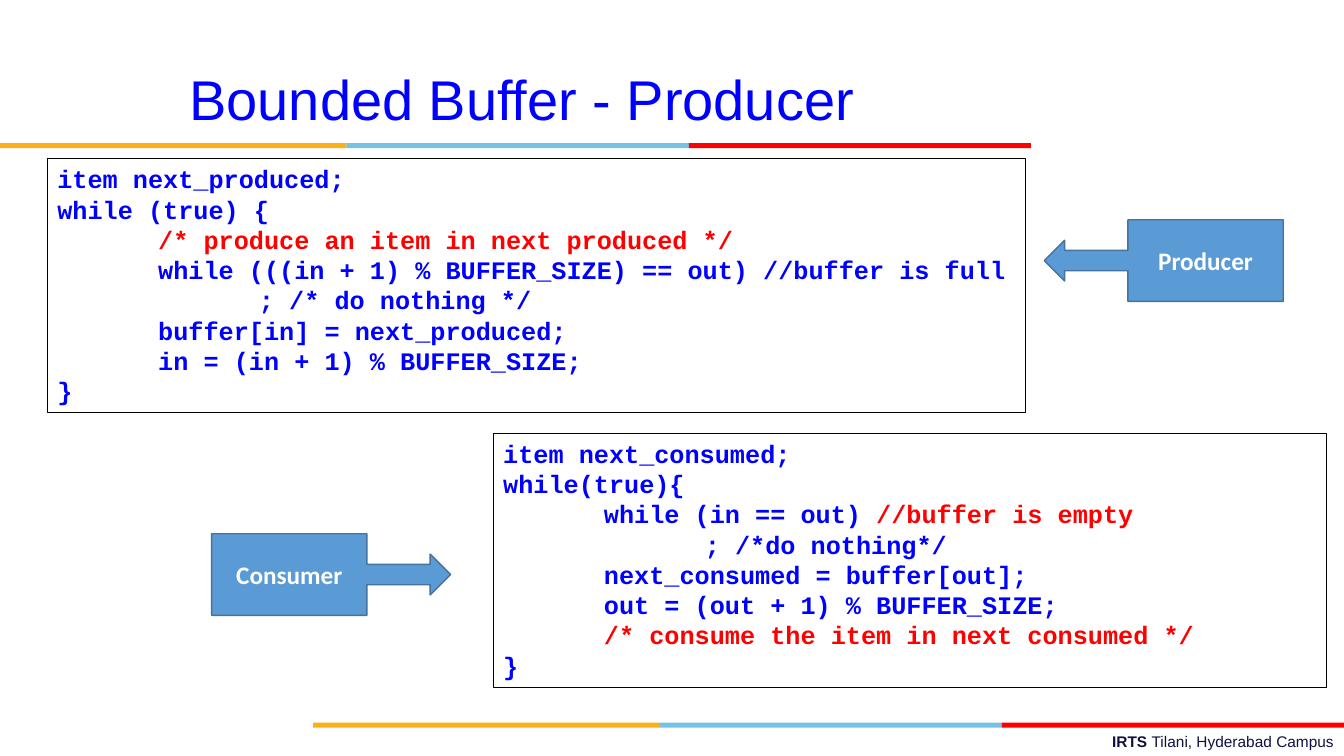
from pptx import Presentation
from pptx.dml.color import RGBColor
from pptx.enum.shapes import MSO_SHAPE as Shape
from pptx.enum.text import MSO_ANCHOR as Anchor, MSO_AUTO_SIZE as AutoSize, PP_ALIGN as Align
from pptx.util import Inches, Pt

COLORS = {
    "amber": "FCB017", "sky": "76C2E5", "red": "FF0000", "navy": "101141",
    "code": "0000FF", "border": "000000", "white": "FFFFFF",
    "callout": "5B9BD5", "callout_edge": "43739E",
}

deck = Presentation()
deck.slide_width, deck.slide_height = Inches(13.33), Inches(7.5)
slide = deck.slides.add_slide(deck.slide_layouts[5])


def cell(left, top, width, height):
    """Place on a grid of 100 columns by 100 rows."""
    column, row = deck.slide_width / 100, deck.slide_height / 100
    return [int(n) for n in (left * column, top * row, width * column, height * row)]


def write(paragraph, text, font, size, color, bold=False):
    run = paragraph.add_run()
    run.text = text
    run.font.name, run.font.size, run.font.bold = font, Pt(size), bold
    run.font.color.rgb = RGBColor.from_string(COLORS[color])


# Three-colour stripes under the title and above the footer
for stripe_left, stripe_top in ((0, 18.93), (23.3, 95.6)):
    left = stripe_left
    for color, width in (("amber", 25.8), ("sky", 25.45), ("red", 25.45)):
        band = slide.shapes.add_shape(Shape.RECTANGLE, *cell(left, stripe_top, width, 0.67))
        band.shadow.inherit = False
        band.fill.solid()
        band.fill.fore_color.rgb = RGBColor.from_string(COLORS[color])
        band.line.fill.background()
        left += width

# Footer
footer = slide.shapes.add_textbox(*cell(35.85, 96.13, 64.15, 3.87))
footer.text_frame.word_wrap = True
campus = footer.text_frame.paragraphs[0]
campus.alignment = Align.RIGHT
write(campus, "IRTS ", "Arial", 11, "navy", True)
write(campus, "Tilani, Hyderabad Campus", "Arial", 11, "navy")

# Title
title = slide.shapes.title
title.left, title.top, title.width, title.height = cell(8.85, 7.87, 59.93, 10.27)
title.text_frame.auto_size = AutoSize.NONE
title.text_frame.vertical_anchor = Anchor.MIDDLE
heading = title.text_frame.paragraphs[0]
heading.alignment = Align.CENTER
write(heading, "Bounded Buffer - Producer", "Arial", 40, "code")

# Code listings: each line is a list of (text, colour) pieces
producer_code = [
    [("item next_produced;", "code")],
    [("while (true) {", "code")],
    [("\t/* produce an item in next produced */", "red")],
    [("\twhile (((in + 1) % BUFFER_SIZE) == out) //buffer is full", "code")],
    [("\t\t; /* do nothing */", "code")],
    [("\tbuffer[in] = next_produced;", "code")],
    [("\tin = (in + 1) % BUFFER_SIZE;", "code")],
    [("}", "code")],
]
consumer_code = [
    [("item next_consumed;", "code")],
    [("while(true){", "code")],
    [("\twhile (in == out) ", "code"), ("//buffer is empty", "red")],
    [("\t\t; /*do nothing*/", "code")],
    [("\tnext_consumed = buffer[out];", "code")],
    [("\tout = (out + 1) % BUFFER_SIZE;", "code")],
    [("\t/* consume the item in next consumed */", "red")],
    [("}", "code")],
]
for code, place in (
    (producer_code, (3.53, 21, 72.75, 33.6)),
    (consumer_code, (36.7, 57.3, 62.03, 33.6)),
):
    listing = slide.shapes.add_textbox(*cell(*place))
    listing.line.color.rgb = RGBColor.from_string(COLORS["border"])
    listing.line.width = Pt(0.75)
    frame = listing.text_frame
    frame.word_wrap = True
    for number, pieces in enumerate(code):
        code_line = frame.add_paragraph() if number else frame.paragraphs[0]
        # One-inch tab stops
        code_line._p.get_or_add_pPr().set("defTabSz", str(Inches(1)))
        for text, color in pieces:
            write(code_line, text, "Courier New", 18, color, True)

# Arrow callouts pointing at the listings
for role, outline, left, top in (
    ("Consumer", Shape.RIGHT_ARROW_CALLOUT, 15.75, 70.6),
    ("Producer", Shape.LEFT_ARROW_CALLOUT, 77.7, 29.07),
):
    callout = slide.shapes.add_shape(outline, *cell(left, top, 17.78, 10.8))
    callout.shadow.inherit = False
    callout.fill.solid()
    callout.fill.fore_color.rgb = RGBColor.from_string(COLORS["callout"])
    callout.line.color.rgb = RGBColor.from_string(COLORS["callout_edge"])
    callout.line.width = Pt(1)
    callout.text_frame.vertical_anchor = Anchor.MIDDLE
    label = callout.text_frame.paragraphs[0]
    label.alignment = Align.CENTER
    write(label, role, "Calibri", 18, "white", True)

deck.save("out.pptx")
